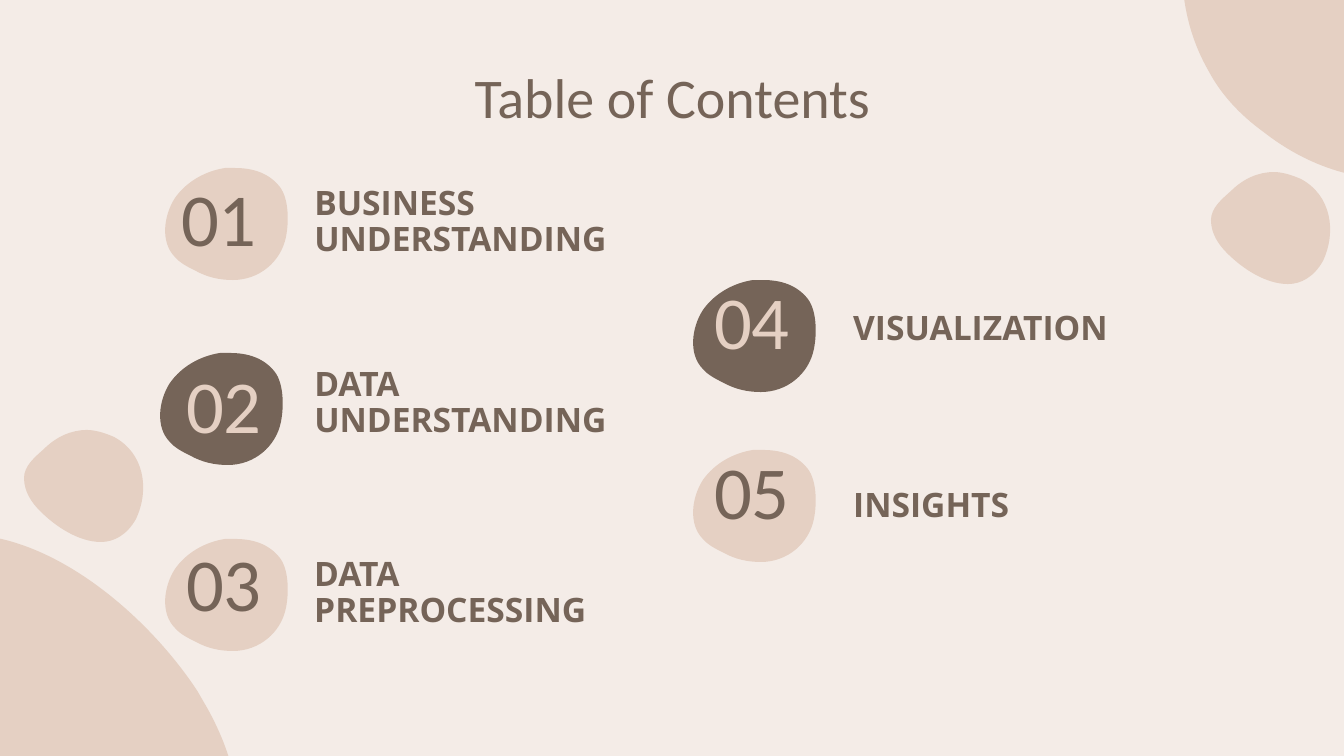
import pptx
import pptx.dml.color
import pptx.enum.text
import pptx.oxml.ns
import pptx.util
from lxml import etree

SCALE = 914400 * 10 / 1344
SAND, BROWN, CREAM = "E5D0C3", "756458", "F4ECE7"

BADGE = [(75, 0), (71, 0), (69, 0), (65, 0), (46, 3), (27, 13), (15, 30),
         (4, 47), (0, 74), (15, 89), (20, 95), (28, 99), (36, 103),
         (47, 109), (59, 112), (73, 112), (99, 112), (121, 94), (126, 69),
         (129, 54), (129, 31), (120, 19), (109, 5), (93, 0), (75, 0)]
PEBBLE = [(63, 0), (47, 0), (32, 7), (20, 19), (11, 27), (0, 36), (0, 48),
          (0, 62), (8, 73), (16, 81), (32, 97), (55, 112), (77, 112),
          (90, 112), (103, 105), (112, 89), (126, 59), (120, 23), (90, 7),
          (81, 3), (71, 0), (63, 0)]
BOULDER = [(222, 1), (196, 0), (169, 6), (142, 18), (43, 58), (0, 146), (1, 247),
           (0, 294), (3, 347), (43, 379), (74, 403), (115, 411), (155, 412),
           (163, 412), (169, 412), (177, 412), (312, 404), (503, 316), (431, 153),
           (393, 64), (312, 1), (222, 1)]

TITLE = {"size": pptx.util.Pt(30), "name": "Calibri"}
NUMBER = {"size": pptx.util.Pt(40), "name": "Calibri"}
LABEL = {"size": pptx.util.Pt(18), "name": "Open Sans", "bold": True}

ENTRIES = [
    ("01", "BUSINESS UNDERSTANDING", (160, 168), (0, 13), (141, 12, 328, 85), False),
    ("02", "DATA UNDERSTANDING", (155, 353), (10, 15), (146, 6, 328, 89), True),
    ("03", "DATA PREPROCESSING", (160, 539), (5, 7), (141, 17, 312, 75), False),
    ("04", "VISUALIZATION", (688, 280), (5, 4), (152, 22, 312, 56), True),
    ("05", "INSIGHTS", (688, 450), (5, 4), (152, 37, 312, 40), False),
]


def px(n):
    return pptx.util.Emu(round(n * SCALE))


def paint(target, color):
    target.solid()
    target.fore_color.rgb = pptx.dml.color.RGBColor.from_string(color)


def blob(slide, left, top, curve, color, turn=0):
    points = [(px(left + x), px(top + y)) for x, y in curve]
    pen = slide.shapes.build_freeform(*points[0], scale=1.0)
    pen.add_line_segments(points[1:], close=True)
    shape = pen.convert_to_shape()
    qn = pptx.oxml.ns.qn
    lines = list(shape.element.iter(qn("a:lnTo")))
    for i in range(0, len(lines), 3):
        bend = etree.Element(qn("a:cubicBezTo"))
        lines[i].addprevious(bend)
        for line in lines[i:i + 3]:
            bend.append(line[0])
            line.getparent().remove(line)
    shape.rotation = turn
    shape.shadow.inherit = False
    shape.line.fill.background()
    paint(shape.fill, color)


def write(slide, box, text, style, color, center=True):
    frame = slide.shapes.add_textbox(*map(px, box)).text_frame
    frame.word_wrap = True
    frame.vertical_anchor = pptx.enum.text.MSO_ANCHOR.MIDDLE
    for side in ("left", "top", "right", "bottom"):
        setattr(frame, "margin_" + side, pptx.util.Inches(0.1))
    para = frame.paragraphs[0]
    align = pptx.enum.text.PP_ALIGN
    para.alignment = align.CENTER if center else align.LEFT
    para.line_spacing = 0.9
    run = para.add_run()
    run.text = text
    for key, value in style.items():
        setattr(run.font, key, value)
    paint(run.font.fill, color)


def decor(slide):
    for left, top in ((-270, 523), (1120, -263)):
        blob(slide, left, top, BOULDER, SAND, 240)
    for left, top in ((24, 430), (1211, 172)):
        blob(slide, left, top, PEBBLE, SAND)


def entry(slide, number, label, spot, shift, box, dark):
    left, top = spot
    back, ink = (BROWN, SAND) if dark else (SAND, BROWN)
    blob(slide, left, top, BADGE, back)
    write(slide, (left + shift[0], top + shift[1], 118, 82), number, NUMBER, ink)
    area = (left + box[0], top + box[1], box[2], box[3])
    write(slide, area, label, LABEL, BROWN, center=False)


def main():
    deck = pptx.Presentation()
    deck.slide_width, deck.slide_height = px(1344), px(756)
    slide = deck.slides.add_slide(deck.slide_layouts[6])
    paint(slide.background.fill, CREAM)
    decor(slide)
    write(slide, (114, 79, 1117, 43), "Table of Contents", TITLE, BROWN)
    for item in ENTRIES:
        entry(slide, *item)
    deck.save("out.pptx")


if __name__ == "__main__":
    main()
